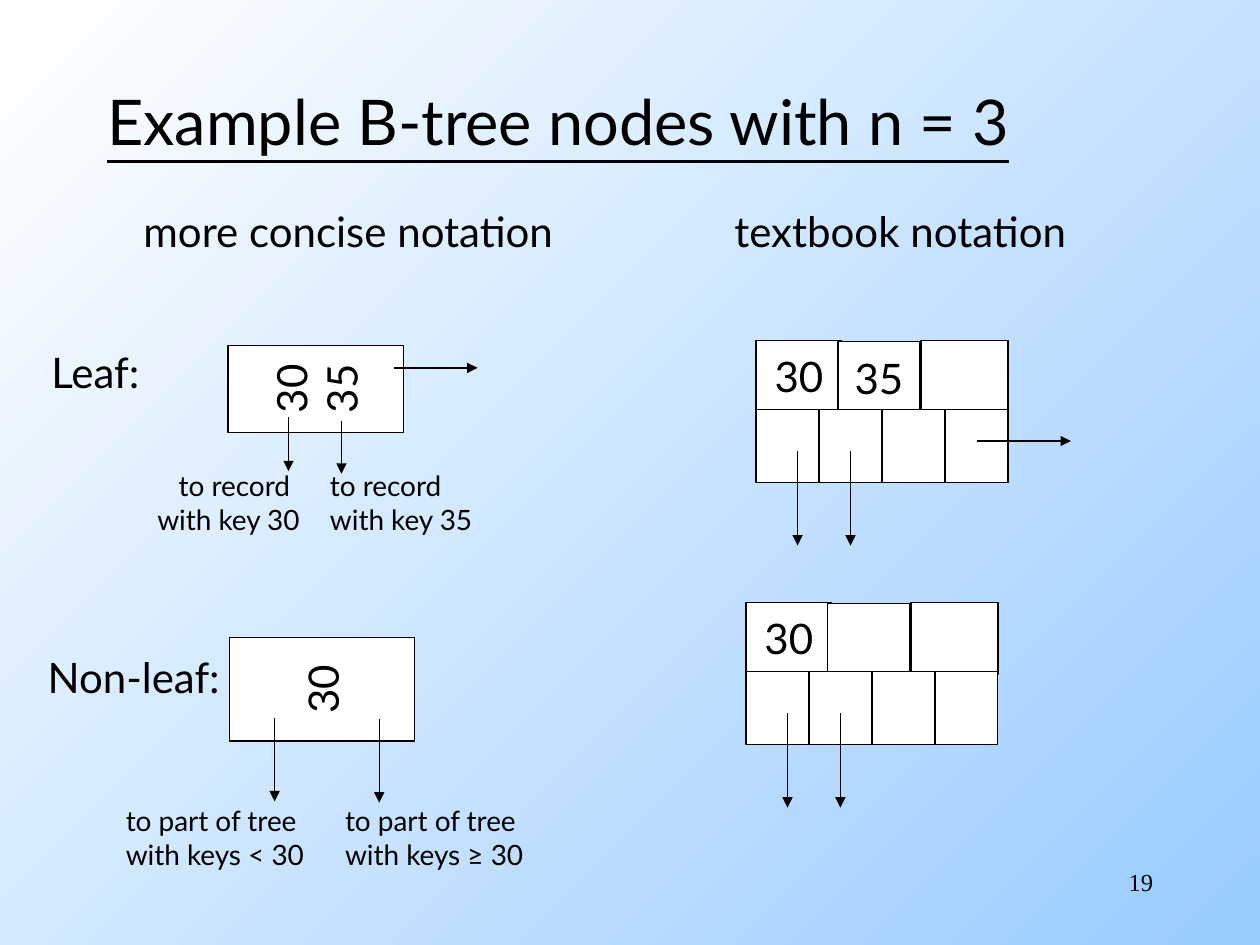
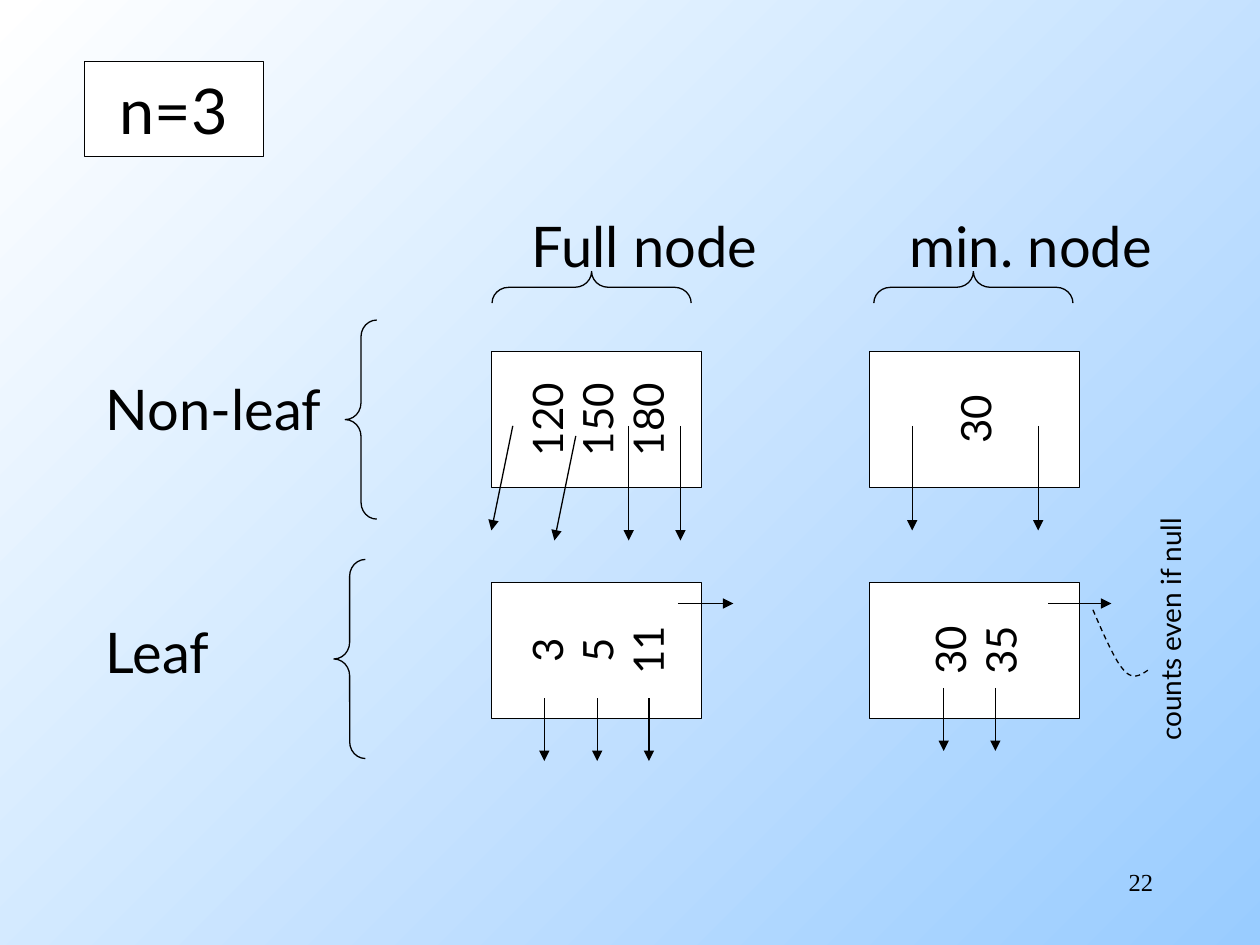
from lxml import etree
from pptx import Presentation
from pptx.dml.color import RGBColor
from pptx.enum.dml import MSO_LINE
from pptx.enum.shapes import MSO_CONNECTOR, MSO_SHAPE
from pptx.enum.text import MSO_ANCHOR, MSO_AUTO_SIZE, PP_ALIGN
from pptx.oxml.ns import qn
from pptx.util import Inches, Pt

BLACK = RGBColor(0, 0, 0)
WHITE = RGBColor(255, 255, 255)
SKY = RGBColor(0x99, 0xCC, 0xFF)
FONT, SERIF = "Lato", "Times New Roman"
LEFT, MID, RIGHT = PP_ALIGN.LEFT, PP_ALIGN.CENTER, PP_ALIGN.RIGHT
TOP, CENTER = MSO_ANCHOR.TOP, MSO_ANCHOR.MIDDLE
RECT, BRACE = MSO_SHAPE.RECTANGLE, MSO_SHAPE.LEFT_BRACE
STRAIGHT, DASH = MSO_CONNECTOR.STRAIGHT, MSO_LINE.DASH
FIXED = MSO_AUTO_SIZE.NONE

# Frames are left, top, width, height; arrows are left, top, run, drop (inches)
NODES = {
    "title": "Example B-tree nodes with n = 3",
    "page": "19",
    "labels": [
        ((5.73, 1.58, 3, 0.5), 24, ["textbook notation"]),
        ((1.04, 1.58, 3.7, 0.5), 24, ["more concise notation"]),
        ((0.31, 2.7, 0.95, 0.5), 24, ["Leaf:"]),
        ((0.28, 5.12, 1.63, 0.5), 24, ["Non-leaf:"]),
        ((1.15, 3.67, 1.37, 0.64), 16, ["to record", "with key 30"]),
        ((2.52, 3.67, 1.38, 0.64), 16, ["to record", "with key 35"]),
        ((0.9, 6.33, 1.71, 0.64), 16, ["to part of tree", "with keys < 30"]),
        ((2.64, 6.33, 1.72, 0.64), 16, ["to part of tree", "with keys ≥ 30"]),
    ],
    "boxes": [((1.81, 2.74, 1.39, 0.69), ["30", "35"]),
              ((1.82, 5.06, 1.47, 0.82), ["30"])],
    "grids": [(6, 2.7, ["30", "35", ""]), (5.92, 4.78, ["30", "", ""])],
    "arrows": [(3.13, 2.92, 0.66, 0), (2.29, 3.31, 0, 0.43),
               (2.71, 3.34, 0, 0.42), (2.18, 5.7, 0, 0.66),
               (3.01, 5.71, 0, 0.66), (7.75, 3.5, 0.75, 0)],
}
INDENTED = "with key 30"  # the line above this one is set in
KEYS = [(0, 0, 0.68), (0.65, 0.01, 0.65), (1.31, 0, 0.69)]

FILL = {
    "title": "n=3",
    "page": "22",
    "heads": ["Full node", "min. node"],
    "rows": [("Non-leaf", 0), ("Leaf", 100.8)],
    "braces": [(2.74, 2.54, 0), (2.65, 4.44, 0), (4.57, 1.49, 90), (7.6, 1.49, 90)],
    "boxes": [[["120", "150", "180"], ["30"]], [["3", "5", "11"], ["30", "35"]]],
    "arrows": [(7.24, 3.38, 0, 0.83), (8.24, 3.38, 0, 0.83),
               (4.07, 3.38, -0.17, 0.83), (4.57, 3.46, -0.17, 0.83),
               (4.99, 3.38, 0, 0.91), (5.4, 3.38, 0, 0.91),
               (5.38, 4.79, 0.44, 0), (8.32, 4.79, 0.5, 0)]
              + [(x, 5.54, 0, 0.5) for x in (4.32, 4.74, 5.15)]
              + [(x, 5.46, 0, 0.5) for x in (7.49, 7.9)],
    "note": "counts even if null",
    "curve": [[(9.11, 5.32), (9.05, 5.36), (8.99, 5.4), (8.92, 5.32)],
              [(8.92, 5.32), (8.84, 5.24), (8.71, 4.92), (8.67, 4.83)]],
}
STEP = 3  # from the full-node column to the min.-node column


def inch(vals):
    return [Inches(v) for v in vals]


def write(shape, lines, size, align=LEFT, anchor=TOP, font=FONT, wrap=True):
    frame = shape.text_frame
    frame.auto_size, frame.word_wrap = FIXED, wrap
    frame.vertical_anchor = anchor
    for i, line in enumerate(lines):
        para = frame.add_paragraph() if i else frame.paragraphs[0]
        para.alignment = align
        run = para.add_run()
        run.text = line
        run.font.size, run.font.name = Pt(size), font
        run.font.color.rgb = BLACK
    return frame.paragraphs


def label(slide, frame, lines, size, **look):
    box = slide.shapes.add_textbox(*inch(frame))
    return box, write(box, lines, size, **look)


def ink(shape):
    shape.line.color.rgb = BLACK
    shape.line.width = Pt(0.75)


def paper(shape):
    shape.fill.solid()
    shape.fill.fore_color.rgb = WHITE
    ink(shape)


def cell(slide, frame, lines=()):
    box = slide.shapes.add_shape(RECT, *inch(frame))
    box.shadow.inherit = False
    paper(box)
    write(box, lines, 24, MID, CENTER, wrap=False)
    return box


def upright(x, y, w, h):
    """Frame that covers the given area after a quarter turn."""
    return x + (w - h) / 2, y + (h - w) / 2, h, w


def node(slide, frame, keys):
    cell(slide, upright(*frame), keys).rotation = 270


def arrow(slide, x, y, run, drop):
    line = slide.shapes.add_connector(STRAIGHT, *inch((x, y, x + run, y + drop)))
    ink(line)
    etree.SubElement(line.line._get_or_add_ln(), qn("a:tailEnd"), type="triangle")
    etree.SubElement(line._element.spPr, qn("a:effectLst"))


def grid(slide, x, y, keys):
    """Textbook node: three keys above four pointers."""
    for (dx, dy, w), key in zip(KEYS, keys):
        cell(slide, (x + dx, y + dy, w, 0.57), [key] if key else [])
    for i in range(4):
        cell(slide, (x + i * 0.5, y + 0.55, 0.5, 0.58))
    for dx in (0.33, 0.75):
        arrow(slide, x + dx, y + 0.88, 0, 0.75)


def brace(slide, x, y, turn):
    mark = slide.shapes.add_shape(BRACE, *inch((x, y, 0.25, 1.58)))
    mark.shadow.inherit = False
    mark.fill.background()
    ink(mark)
    mark.adjustments[0] = 0.53
    mark.rotation = turn


def bezier(pts, t):
    """Point at share t of a cubic curve."""
    parts = [(1 - t) ** 3, 3 * t * (1 - t) ** 2, 3 * t * t * (1 - t), t ** 3]
    return tuple(Inches(sum(k * p[axis] for k, p in zip(parts, pts)))
                 for axis in (0, 1))


def curve(slide, arcs, steps=10):
    pts = [bezier(arc, i / steps) for arc in arcs for i in range(1, steps + 1)]
    pen = slide.shapes.build_freeform(*bezier(arcs[0], 0))
    pen.add_line_segments(pts, close=False)
    line = pen.convert_to_shape()
    line.shadow.inherit = False
    line.fill.background()
    ink(line)
    line.line.dash_style = DASH


def place(shape, frame):
    shape.left, shape.top, shape.width, shape.height = inch(frame)


def start(prs, layout, data, frame, align):
    """Add a slide with its title and page number."""
    slide = prs.slides.add_slide(prs.slide_layouts[layout])
    title = slide.shapes.title
    place(title, frame)
    paras = write(title, [data["title"]], 36, align, CENTER)
    label(slide, (7.17, 6.83, 2.08, 0.5), [data["page"]], 14,
          align=RIGHT, font=SERIF)
    return slide, title, paras[0].runs[0]


def rows(body, items):
    paras = write(body, [text for text, _ in items], 32)
    for para, (_, gap) in zip(paras, items):
        para.space_before = Pt(gap)
        props = para._p.get_or_add_pPr()
        props.set("marL", "0")
        props.set("indent", "0")
        etree.SubElement(props, qn("a:buNone"))


def notation(prs):
    slide, _, run = start(prs, 5, NODES, (0.75, 0.33, 8.5, 1.25), LEFT)
    run.font.underline = True
    for frame, keys in NODES["boxes"]:
        node(slide, frame, keys)
    for spot in NODES["grids"]:
        grid(slide, *spot)
    for spot in NODES["arrows"]:
        arrow(slide, *spot)
    for frame, size, lines in NODES["labels"]:
        _, paras = label(slide, frame, lines, size)
        if lines[-1] == INDENTED:
            paras[0]._p.get_or_add_pPr().set("marL", str(Inches(0.17)))


def limits(prs):
    slide, title, _ = start(prs, 1, FILL, (0.67, 0.49, 1.42, 0.75), MID)
    paper(title)
    body = slide.placeholders[1]
    place(body, (0.74, 2.92, 2, 3.21))
    rows(body, FILL["rows"])
    for c, head in enumerate(FILL["heads"]):
        label(slide, (4.12 + STEP * c, 1.63, 2.4, 0.65), [head], 32)
    for spot in FILL["braces"]:
        brace(slide, *spot)
    for r, line in enumerate(FILL["boxes"]):
        for c, keys in enumerate(line):
            node(slide, (3.9 + STEP * c, 2.79 + 1.83 * r, 1.67, 1.08), keys)
    for spot in FILL["arrows"]:
        arrow(slide, *spot)
    note, _ = label(slide, (8.24, 4.81, 2.09, 0.37), [FILL["note"]], 16,
                    align=MID, anchor=CENTER)
    note.rotation = 270
    curve(slide, FILL["curve"])


def main():
    prs = Presentation()
    prs.slide_width, prs.slide_height = inch((10, 7.5))
    back = prs.slide_master.background.fill
    back.gradient()
    back.gradient_angle = 315
    for stop, tone in zip(back.gradient_stops, (WHITE, SKY)):
        stop.color.rgb = tone
    notation(prs)
    limits(prs)
    prs.save("out.pptx")


if __name__ == "__main__":
    main()
